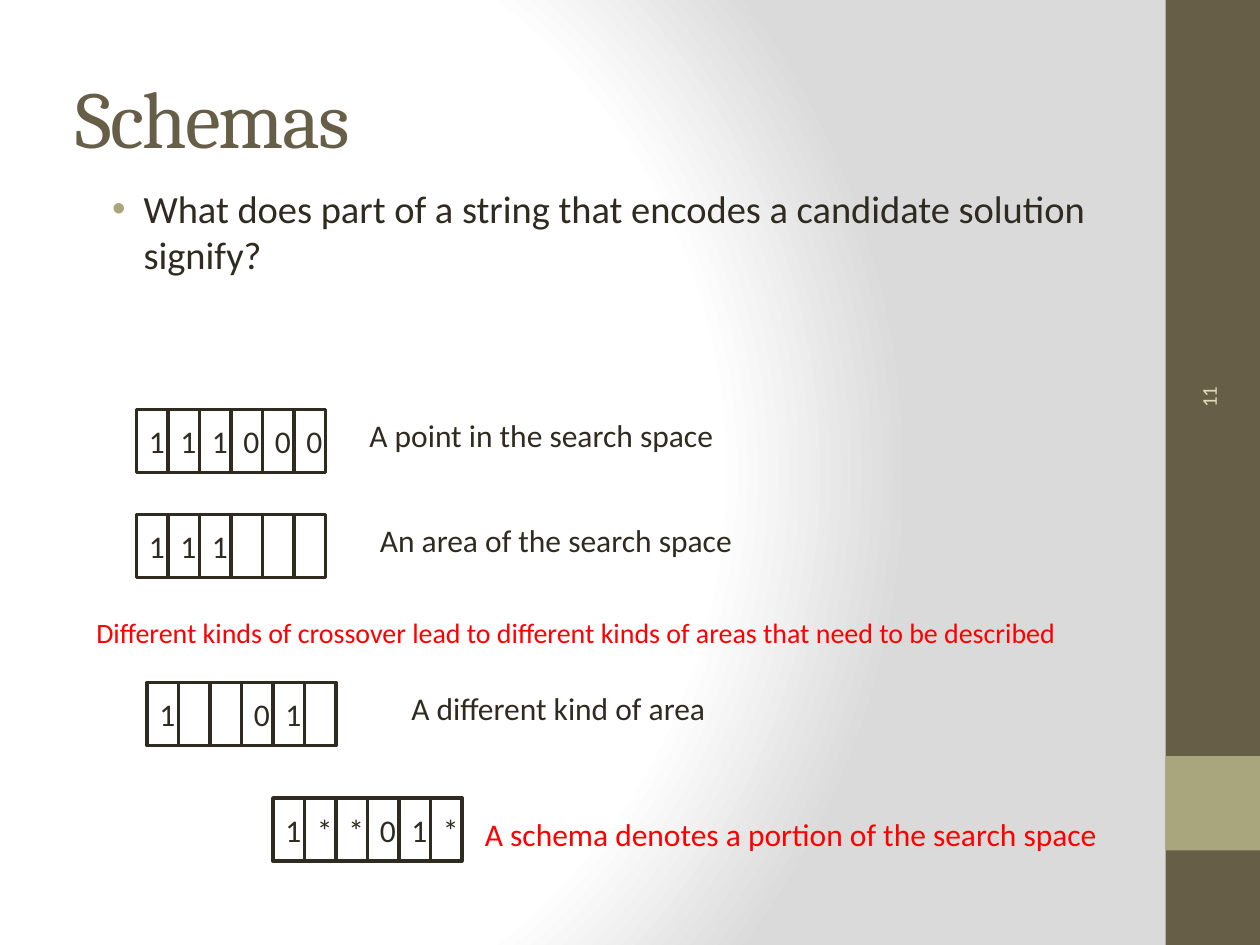
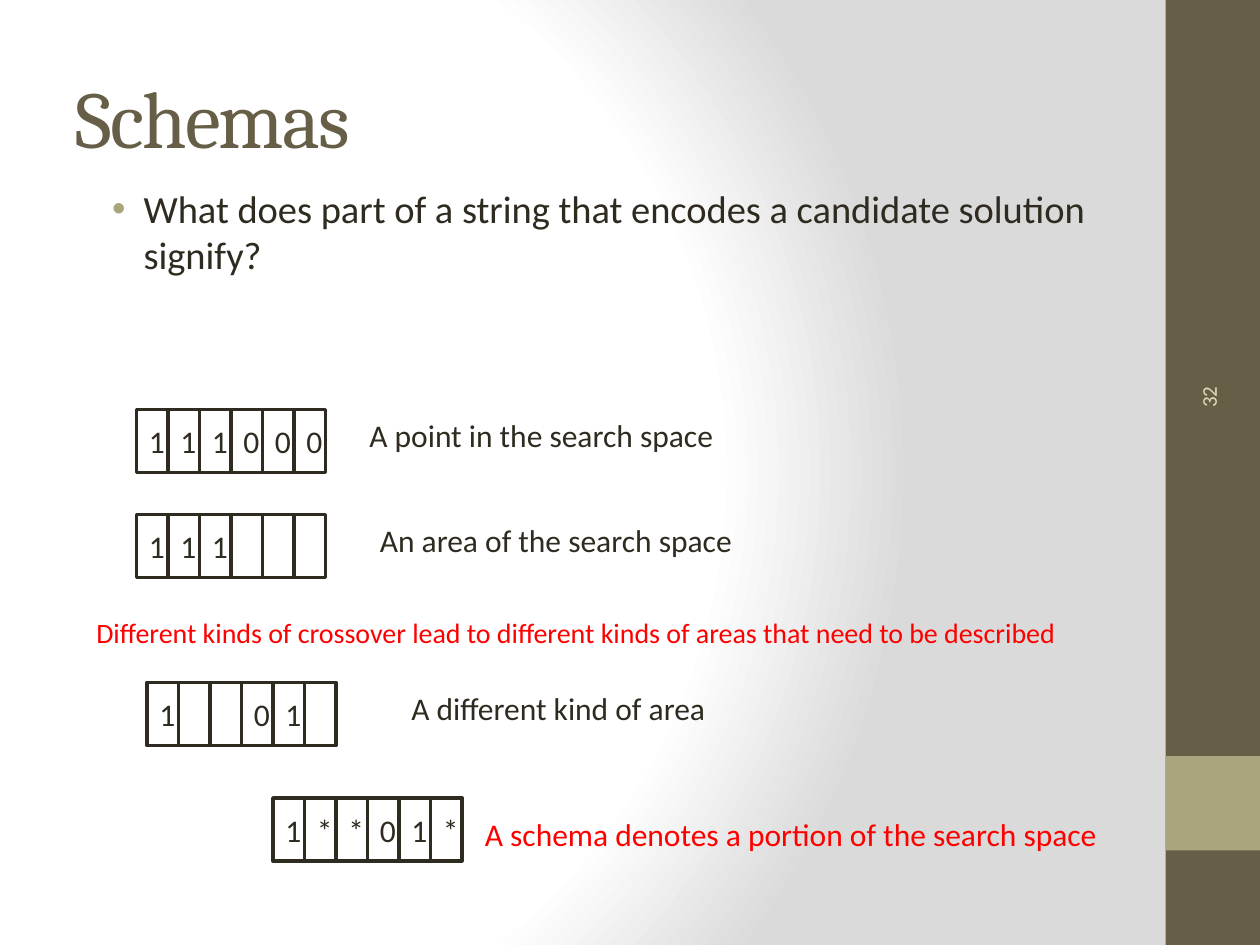
import pptx
import pptx.util
import pptx.dml.color
import pptx.enum.shapes
import pptx.enum.text
import pptx.oxml
import pptx.oxml.ns

COLS, ROWS = 120, 90
WIDE, HIGH = pptx.util.Inches(10), pptx.util.Inches(7.5)
BROWN, OLIVE, CREAM = "675E47", "A9A57C", "DFDCB7"
INK, RED = "2F2B20", "FF0000"
HEAD, BODY = "Cambria", "Calibri"
CELL = (3, 6)
MIDDLE = pptx.enum.text.MSO_ANCHOR.MIDDLE

# Bits, place of the strip, caption, its box relative to the strip, its colour
STRIPS = [
    ("111000", (13, 39), "A point in the search space", (21, 0, 37, 4), INK),
    ("111   ", (13, 49), "An area of the search space", (22, 0, 37, 4), INK),
    ("1  01 ", (14, 65), "A different kind of area", (24, 0, 37, 4), INK),
    ("1**01*", (26, 76), "A schema denotes a portion of the search space",
     (19, 1, 66, 4.8), RED),
]


def color(code):
    return pptx.dml.color.RGBColor.from_string(code)


def place(box):
    """Turn a box in grid columns and rows into slide lengths."""
    x, y, w, h = box
    return (int(x * WIDE / COLS), int(y * HIGH / ROWS),
            int(w * WIDE / COLS), int(h * HIGH / ROWS))


def style(frame, text, size, code, font=BODY):
    frame.text = text
    para = frame.paragraphs[0]
    para.alignment = pptx.enum.text.PP_ALIGN.LEFT
    face = para.runs[0].font
    face.name, face.size = font, pptx.util.Pt(size)
    face.color.rgb = color(code)


def label(slide, box, text, size, code, font=BODY, grow=False):
    shape = slide.shapes.add_textbox(*place(box))
    frame = shape.text_frame
    frame.word_wrap = True
    if grow:
        frame.auto_size = pptx.enum.text.MSO_AUTO_SIZE.SHAPE_TO_FIT_TEXT
    style(frame, text, size, code, font)
    return shape


def rect(slide, box, fill=None, line=None):
    shape = slide.shapes.add_shape(
        pptx.enum.shapes.MSO_SHAPE.RECTANGLE, *place(box))
    shape.shadow.inherit = False
    if fill:
        shape.fill.solid()
        shape.fill.fore_color.rgb = color(fill)
    else:
        shape.fill.background()
    if line:
        shape.line.color.rgb = color(line)
        shape.line.width = pptx.util.Pt(2)
    else:
        shape.line.fill.background()
    return shape


def backdrop(master):
    """Give every slide the radial white to grey background."""
    master.background.fill.solid()
    props = master.element.find(".//" + pptx.oxml.ns.qn("p:bgPr"))
    stops = "".join(
        f'<a:gs pos="{pos}000"><a:srgbClr val="{code}"/></a:gs>'
        for pos, code in ((0, "FFFFFF"), (75, "FFFFFF"), (100, "DADADA")))
    props.replace(props[0], pptx.oxml.parse_xml(
        f'<a:gradFill {pptx.oxml.ns.nsdecls("a")} rotWithShape="1">'
        f'<a:gsLst>{stops}</a:gsLst><a:path path="circle">'
        '<a:fillToRect l="20000" t="50000" r="100000" b="50000"/>'
        '</a:path></a:gradFill>'))


def band(slide, box, page):
    x, y, w, h = box
    rect(slide, box, BROWN)
    rect(slide, (x, y + 0.8 * h, w, 0.1 * h), OLIVE)
    number = label(slide, (x - 11.9, y + 21.6, 32, 4.8), page, 12, CREAM)
    number.rotation = 270
    number.text_frame.vertical_anchor = MIDDLE


def title(slide, box, text):
    frame = label(slide, box, text, 46, BROWN, HEAD).text_frame
    frame.vertical_anchor = MIDDLE
    frame.paragraphs[0].runs[0].font._element.set("spc", "-100")


def bullet(slide, box, text):
    frame = label(slide, box, text, 22, INK).text_frame
    props = frame.paragraphs[0]._p.get_or_add_pPr()
    props.set("marL", str(pptx.util.Inches(0.375)))
    props.set("indent", str(-pptx.util.Inches(0.25)))
    space = pptx.oxml.ns.nsdecls("a")
    for part in (
            f'<a:buClr {space}><a:srgbClr val="{OLIVE}"/></a:buClr>',
            f'<a:buFont {space} typeface="Arial"/>',
            f'<a:buChar {space} char="•"/>'):
        props.append(pptx.oxml.parse_xml(part))


def strip(slide, spot, bits, caption, shift, code):
    """Draw a row of bit cells with its caption beside it."""
    x, y = spot
    w, h = CELL
    for i, bit in enumerate(bits):
        cell = rect(slide, (x + i * w, y, w, h), line=INK)
        if bit != " ":
            frame = cell.text_frame
            style(frame, bit, 18, INK)
            frame.word_wrap = False
            frame.vertical_anchor = MIDDLE
    dx, dy, wide, high = shift
    label(slide, (x + dx, y + dy, wide, high), caption, 18, code, grow=True)


def schemas(deck, page):
    slide = deck.slides.add_slide(deck.slide_layouts[6])
    band(slide, (111, 0, 9, ROWS), page)
    title(slide, (6, 3.6, 100, 15), "Schemas")
    bullet(slide, (8, 17, 102, 14), "What does part of a string that "
           "encodes a candidate solution signify?")
    for bits, spot, caption, shift, code in STRIPS:
        strip(slide, spot, bits, caption, shift, code)
    label(slide, (8, 58, 96, 4.4), "Different kinds of crossover lead to "
          "different kinds of areas that need to be described",
          16, RED, grow=True)


def main():
    deck = pptx.Presentation()
    deck.slide_width, deck.slide_height = WIDE, HIGH
    backdrop(deck.slide_master)
    for page in ("11", "32"):
        schemas(deck, page)
    deck.save("out.pptx")


if __name__ == "__main__":
    main()
